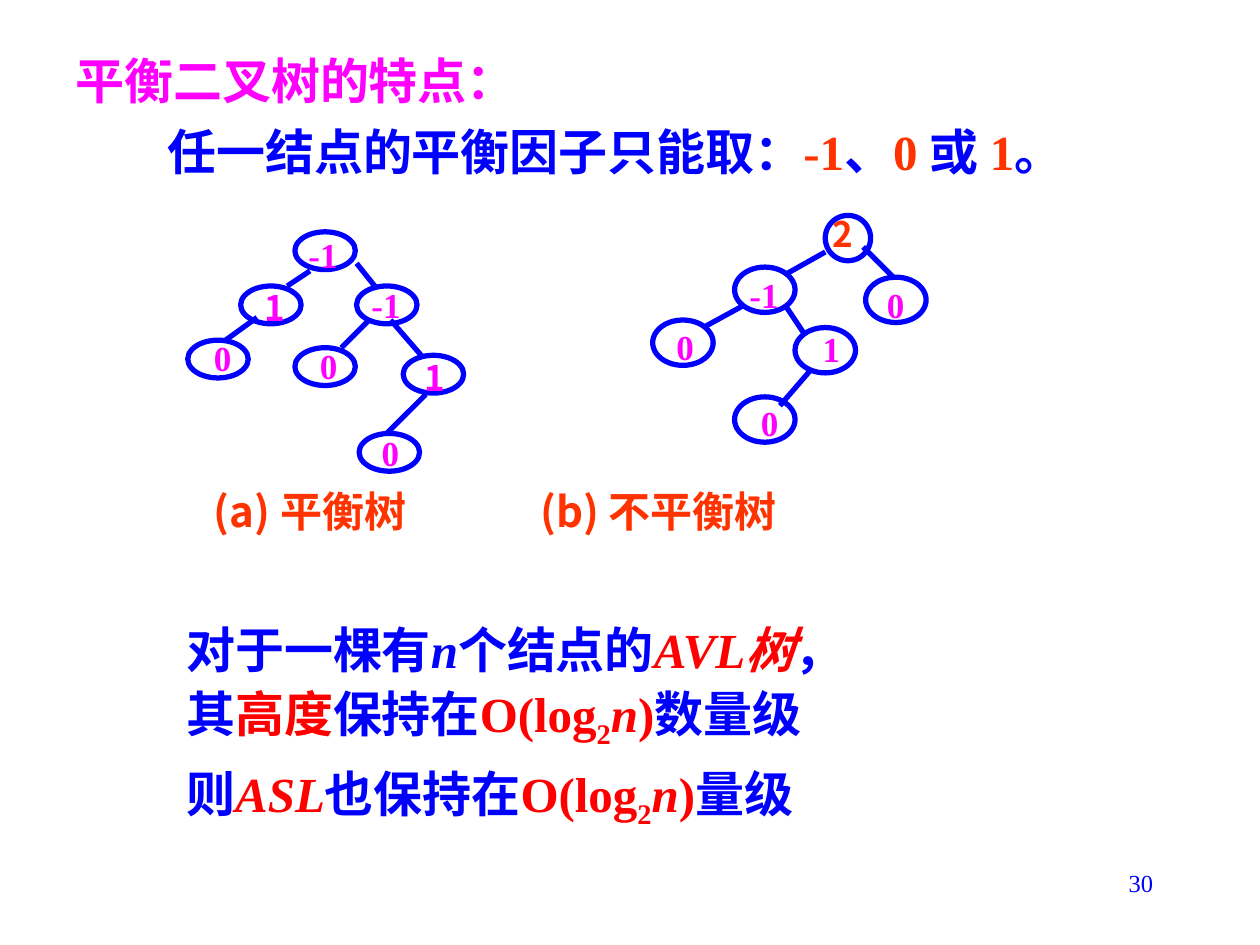
from pptx import Presentation
from pptx.dml.color import RGBColor
from pptx.enum.shapes import MSO_CONNECTOR as Line, MSO_SHAPE as Shape
from pptx.enum.text import PP_ALIGN as Align
from pptx.oxml.ns import qn
from pptx.util import Inches, Pt
from lxml.etree import SubElement as Sub

BLUE = RGBColor(0x00, 0x00, 0xFF)
PINK = RGBColor(0xFF, 0x00, 0xFF)
ORANGE = RGBColor(0xFF, 0x33, 0x00)
RED = RGBColor(0xFF, 0x00, 0x00)
WHITE = RGBColor(0xFF, 0xFF, 0xFF)
SERIF = "Times New Roman"
SANS = "Noto Sans CJK SC"

# Order of growth: (text, colour, face, style)
LOG = [("O(log", RED, SERIF, ""), ("2", RED, SERIF, "sub"),
       ("n", RED, SERIF, "i"), (")", RED, SERIF, "")]
FEATURES = [
    [("平衡二叉树的特点：", PINK, SERIF, "")],
    [("任一结点的平衡因子只能取：", BLUE, SANS, ""), ("-1", ORANGE, SERIF, ""),
     ("、", BLUE, SERIF, ""), ("0 ", ORANGE, SERIF, ""), ("或 ", BLUE, SANS, ""),
     ("1", ORANGE, SERIF, ""), ("。", BLUE, SANS, "")],
]
RESULTS = [
    [("对于一棵有", BLUE, SANS, ""), ("n", BLUE, SERIF, "i"),
     ("个结点的", BLUE, SANS, ""), ("AVL树", RED, SERIF, "i"),
     ("，", BLUE, SANS, "")],
    [("其", BLUE, SANS, ""), ("高度", RED, SANS, ""), ("保持在", BLUE, SANS, ""),
     *LOG, ("数量级", BLUE, SANS, "")],
    [("则", BLUE, SANS, ""), ("ASL", RED, SERIF, "i"), ("也保持在", BLUE, SANS, ""),
     *LOG, ("量级", BLUE, SANS, "")],
]

# Nodes: x, y, label, label x, label y, label face
EVEN = [
    (0.85, 0, "-1", 0.86, -0.05, SERIF),
    (0.42, 0.43, "1", 0.51, 0.37, SANS),
    (1.34, 0.43, "-1", 1.36, 0.35, SERIF),
    (0, 0.86, "0", 0.11, 0.77, SERIF),
    (0.85, 0.92, "0", 0.95, 0.83, SERIF),
    (1.71, 0.98, "1", 1.78, 0.93, SANS),
    (1.36, 1.6, "0", 1.44, 1.52, SERIF),
]
EVEN_EDGES = [
    (0.97, 0.31, 0.79, 0.43), (1.34, 0.25, 1.5, 0.45), (0.55, 0.68, 0.3, 0.86),
    (1.44, 0.7, 1.22, 0.92), (1.61, 0.7, 1.87, 1), (1.89, 1.29, 1.58, 1.6),
]
SKEW = [
    (1.37, 0, "2", 1.33, -0.09, SANS),
    (0.65, 0.41, "-1", 0.67, 0.4, SERIF),
    (1.69, 0.49, "0", 1.76, 0.48, SERIF),
    (0, 0.83, "0", 0.09, 0.81, SERIF),
    (1.13, 0.89, "1", 1.25, 0.83, SERIF),
    (0.65, 1.44, "0", 0.76, 1.41, SERIF),
]
SKEW_EDGES = [
    (1.37, 0.29, 1.05, 0.47), (1.67, 0.25, 1.92, 0.5), (0.73, 0.71, 0.4, 0.89),
    (1.05, 0.71, 1.21, 0.95), (1.26, 1.22, 1.01, 1.51),
]


def style(run, size, tint, face, look="", bold=True):
    font = run.font
    font.size, font.name, font.bold = Pt(size), face, bold
    font.color.rgb = tint
    font.italic = look == "i"
    props = run.font._element
    if look == "sub":
        props.set("baseline", "-25000")
    Sub(props, qn("a:ea")).set("typeface", SANS)


def write(slide, box, lines, size, wrap=True, bold=True, fill=None):
    """Place a text box; each line is a list of styled pieces."""
    shape = slide.shapes.add_textbox(*map(Inches, box))
    if fill is not None:
        shape.fill.solid()
        shape.fill.fore_color.rgb = fill
    frame = shape.text_frame
    frame.word_wrap = wrap
    for num, line in enumerate(lines):
        para = frame.add_paragraph() if num else frame.paragraphs[0]
        para.line_spacing = Pt(1.25 * size)
        para.space_before = Pt(6 if num else 0)
        for text, tint, face, look in line:
            run = para.add_run()
            run.text = text
            style(run, size, tint, face, look, bold)
    return frame.paragraphs


def draw_tree(slide, left, top, nodes, edges, wide, high, root):
    """Draw a tree from its top left corner; root is (width, tint)."""
    for num, (x, y, *_) in enumerate(nodes):
        width = wide if num else root[0]
        oval = slide.shapes.add_shape(
            Shape.OVAL, Inches(left + x), Inches(top + y), Inches(width), Inches(high))
        oval.shadow.inherit = False
        oval.fill.background()
        oval.line.color.rgb, oval.line.width = BLUE, Pt(3)
    for x1, y1, x2, y2 in edges:
        edge = slide.shapes.add_connector(
            Line.STRAIGHT, Inches(left + x1), Inches(top + y1),
            Inches(left + x2), Inches(top + y2))
        edge.line.color.rgb, edge.line.width = BLUE, Pt(3)
        Sub(edge._element.spPr, qn("a:effectLst"))
    # Balance factors
    for num, (_, _, text, x, y, face) in enumerate(nodes):
        width = 0.43 if text == "-1" else 0.34
        tint = PINK if num else root[1]
        write(slide, (left + x, top + y, width, 0.44),
              [[(text, tint, face, "")]], 20, wrap=False)


def add_features(slide, box):
    paras = write(slide, box, FEATURES, 28)
    paras[1]._p.get_or_add_pPr().set("marL", str(Inches(0.73)))


def add_captions(slide, box):
    text = "(a) 平衡树\t(b) 不平衡树"
    para = write(slide, box, [[(text, ORANGE, SANS, "")]], 24)[0]
    tabs = Sub(para._p.get_or_add_pPr(), qn("a:tabLst"))
    stop = Sub(tabs, qn("a:tab"))
    stop.set("pos", str(Inches(2.59)))
    stop.set("algn", "l")


def add_results(slide, box):
    paras = write(slide, box, RESULTS, 28, fill=WHITE)
    paras[2].space_before = Pt(10.5)  # room for the subscript above


def add_number(slide, box):
    para = write(slide, box, [[("30", BLUE, SERIF, "")]], 14, bold=False)[0]
    para.alignment = Align.RIGHT


def main():
    deck = Presentation()
    deck.slide_width, deck.slide_height = Inches(10), Inches(7.5)
    slide = deck.slides.add_slide(deck.slide_layouts[6])
    add_features(slide, (0.5, 0.33, 8.92, 1.08))
    add_results(slide, (1.38, 4.85, 7.32, 1.83))
    add_captions(slide, (1.6, 3.79, 6, 0.9))
    draw_tree(slide, 1.49, 1.84, EVEN, EVEN_EDGES, 0.48, 0.3, (0.48, PINK))
    draw_tree(slide, 5.18, 1.71, SKEW, SKEW_EDGES, 0.48, 0.36, (0.36, ORANGE))
    add_number(slide, (7.17, 6.83, 2.08, 0.5))
    deck.save("out.pptx")


if __name__ == "__main__":
    main()
